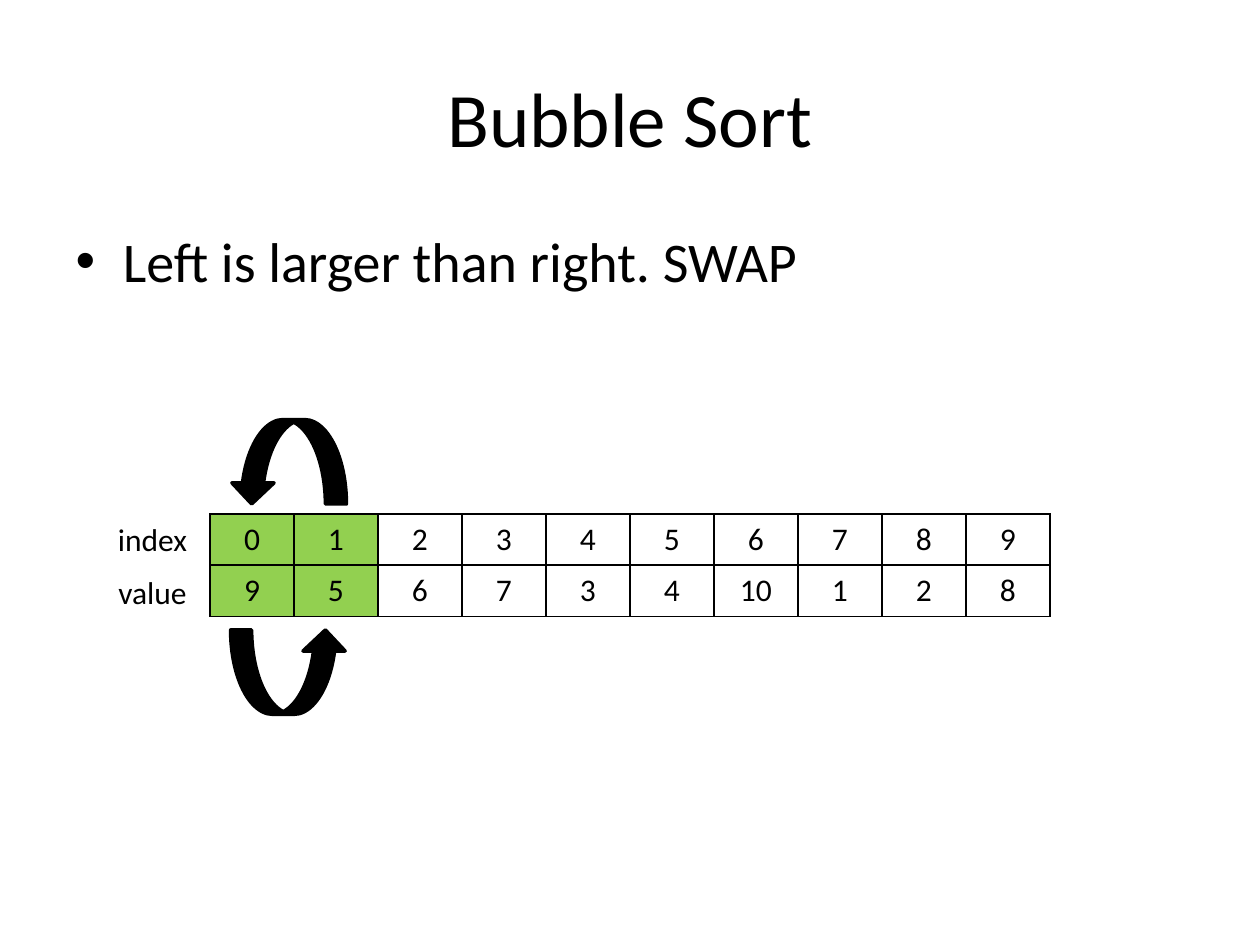
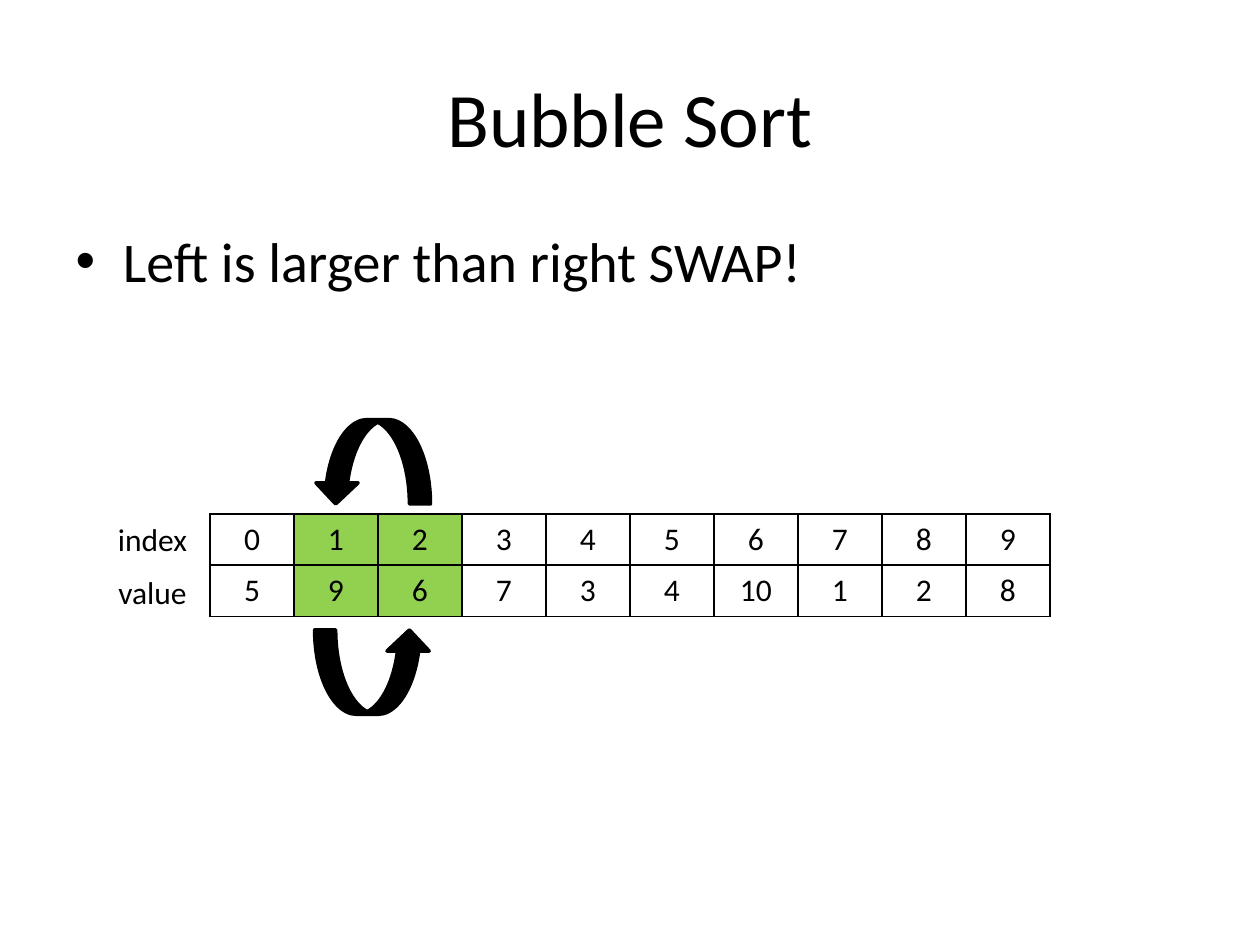
from lxml.etree import SubElement
from pptx import Presentation
from pptx.dml.color import RGBColor
from pptx.enum.shapes import MSO_SHAPE
from pptx.enum.text import MSO_ANCHOR, MSO_AUTO_SIZE, PP_ALIGN
from pptx.oxml.ns import qn
from pptx.util import Inches, Pt

COLORS = {"ink": "000000", "paper": "FFFFFF", "compared": "92D050"}
FONT = "Calibri"
CELL_WIDTH = 2 / 3
ROW_HEIGHT = 0.405
TABLE_LEFT, TABLE_TOP = 5 / 3, 4.08
STEPS = [
    ("Left is larger than right. SWAP", [9, 5, 6, 7, 3, 4, 10, 1, 2, 8], 0),
    ("Left is larger than right SWAP!", [5, 9, 6, 7, 3, 4, 10, 1, 2, 8], 1),
]


def color(name):
    """Return the named palette colour."""
    return RGBColor.from_string(COLORS[name])


def place(shape, left, top, width, height):
    """Move and size a shape, in inches."""
    shape.left, shape.top = Inches(left), Inches(top)
    shape.width, shape.height = Inches(width), Inches(height)


def write(text_frame, text, size, align):
    """Set one paragraph of text and format its runs."""
    text_frame.text = text
    paragraph = text_frame.paragraphs[0]
    paragraph.alignment = align
    for run in paragraph.runs:
        run.font.name = FONT
        run.font.size = Pt(size)
        run.font.color.rgb = color("ink")


def fill_placeholders(slide, title, bullet):
    """Fill the title and the bulleted body."""
    place(slide.shapes.title, 0.5, 0.3, 9, 1.25)
    write(slide.shapes.title.text_frame, title, 44, PP_ALIGN.CENTER)
    slide.shapes.title.text_frame.vertical_anchor = MSO_ANCHOR.MIDDLE
    body = slide.placeholders[1]
    place(body, 0.5, 1.75, 9, 4.95)
    write(body.text_frame, bullet, 32, PP_ALIGN.LEFT)


def add_borders(cell):
    """Draw a thin line on all four sides of a table cell."""
    properties = cell._tc.get_or_add_tcPr()
    for position, side in enumerate(("a:lnL", "a:lnR", "a:lnT", "a:lnB")):
        line = properties.makeelement(qn(side), {"w": str(Pt(1))})
        fill = SubElement(line, qn("a:solidFill"))
        SubElement(fill, qn("a:srgbClr"), val=COLORS["ink"])
        properties.insert(position, line)


def add_array_table(slide, values, left_index):
    """Add the index and value rows, with the compared pair highlighted."""
    rows = [range(len(values)), values]
    table = slide.shapes.add_table(
        len(rows), len(values), Inches(TABLE_LEFT), Inches(TABLE_TOP),
        Inches(CELL_WIDTH * len(values)), Inches(ROW_HEIGHT * len(rows))).table
    table.first_row = table.horz_banding = False
    for row_number, row in enumerate(rows):
        for column_number, value in enumerate(row):
            cell = table.cell(row_number, column_number)
            compared = column_number in (left_index, left_index + 1)
            write(cell.text_frame, str(value), 18, PP_ALIGN.CENTER)
            cell.fill.solid()
            cell.fill.fore_color.rgb = color("compared" if compared else "paper")
            add_borders(cell)


def add_row_label(slide, text, top):
    """Add the name of a table row to its left."""
    label = slide.shapes.add_textbox(
        Inches(0.75), Inches(top), Inches(0.92), Inches(0.42))
    label.text_frame.word_wrap = True
    label.text_frame.auto_size = MSO_AUTO_SIZE.SHAPE_TO_FIT_TEXT
    write(label.text_frame, text, 18, PP_ALIGN.CENTER)


def add_swap_arrow(slide, preset, left_index, top, flipped=False):
    """Add a curved arrow that spans the compared pair."""
    left = 1.83 + left_index * CELL_WIDTH
    arrow = slide.shapes.add_shape(
        preset, Inches(left), Inches(top), Inches(0.92), Inches(0.67))
    arrow.shadow.inherit = False
    arrow.fill.solid()
    arrow.fill.fore_color.rgb = color("ink")
    arrow.line.color.rgb = color("ink")
    arrow.line.width = Pt(2)
    if flipped:
        arrow._element.spPr.find(qn("a:xfrm")).set("flipH", "1")


def add_step_slide(presentation, bullet, values, left_index):
    """Add one step of the sort."""
    slide = presentation.slides.add_slide(presentation.slide_layouts[1])
    fill_placeholders(slide, "Bubble Sort", bullet)
    add_array_table(slide, values, left_index)
    add_row_label(slide, "index", TABLE_TOP)
    add_row_label(slide, "value", TABLE_TOP + 0.42)
    add_swap_arrow(slide, MSO_SHAPE.CURVED_UP_ARROW, left_index, 5)
    add_swap_arrow(slide, MSO_SHAPE.CURVED_DOWN_ARROW, left_index, 3.33, flipped=True)


def main():
    """Build the presentation."""
    presentation = Presentation()
    presentation.slide_width, presentation.slide_height = Inches(10), Inches(7.5)
    for bullet, values, left_index in STEPS:
        add_step_slide(presentation, bullet, values, left_index)
    presentation.save("out.pptx")


if __name__ == "__main__":
    main()
